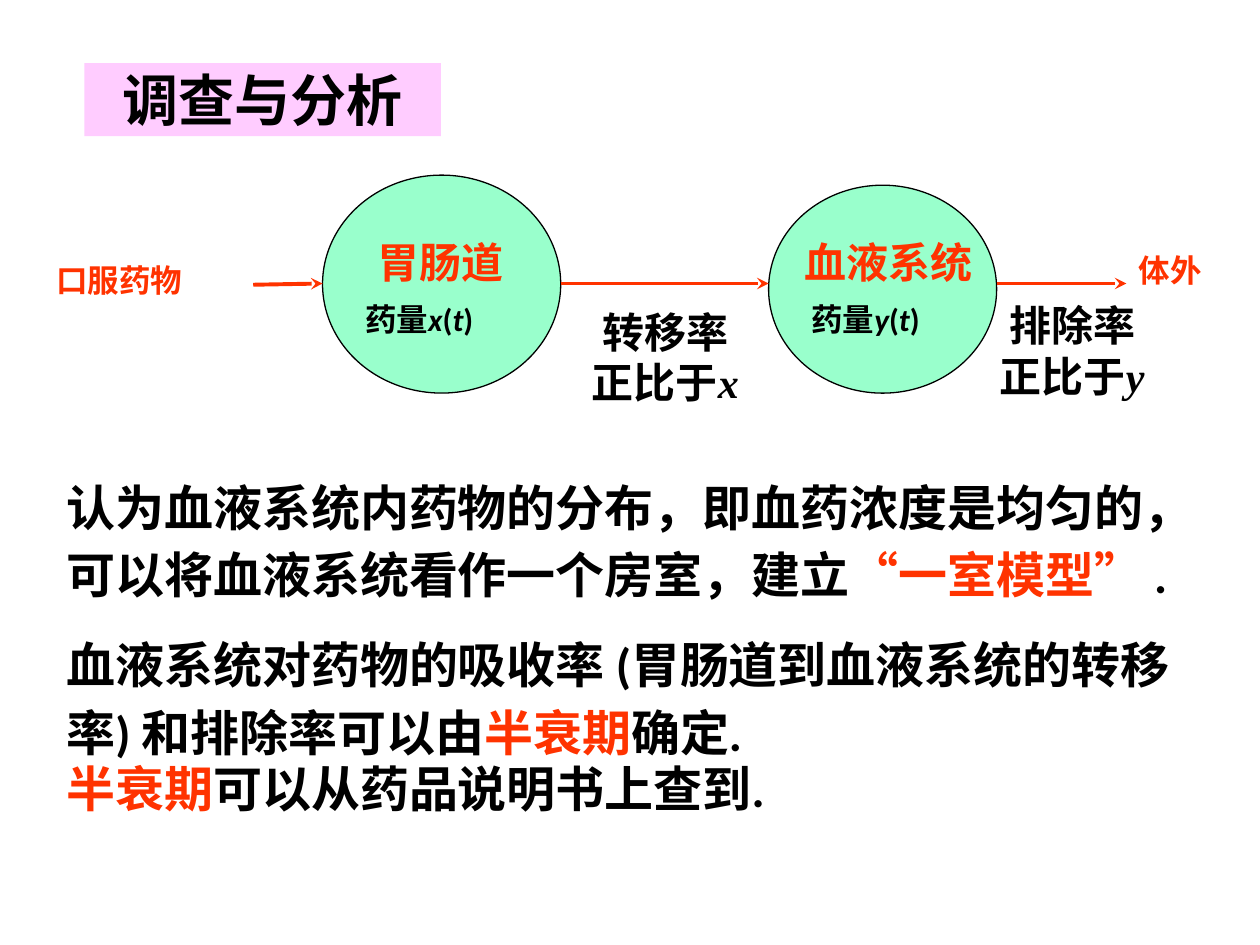
import pptx
import pptx.dml.color
import pptx.enum.shapes
import pptx.enum.text
import pptx.oxml
import pptx.oxml.ns
import pptx.util

Inches = pptx.util.Inches
Pt = pptx.util.Pt
ALIGN = pptx.enum.text.PP_ALIGN
ANCHOR = pptx.enum.text.MSO_ANCHOR
SHAPE = pptx.enum.shapes.MSO_SHAPE
COLORS = {"ink": "000000", "accent": "FF3300", "title": "FFCCFF", "organ": "99FFCC"}
TITLE_ONLY = 5


def rgb(name):
    return pptx.dml.color.RGBColor.from_string(COLORS[name])


def add_run(p, text, size=18, font="Calibri", color="ink", bold=True, italic=False):
    r = p.add_run()
    r.text = text
    r.font.size = Pt(size)
    r.font.name = font
    r.font.color.rgb = rgb(color)
    r.font.bold = bold
    r.font.italic = italic


class SlideBuilder:
    def __init__(self, s):
        self.s = s

    def fill_text(self, tf, runs, align=ALIGN.LEFT, anchor=ANCHOR.TOP, wrap=True,
                  spacing=None, **style):
        """Each run is a (text, overrides) pair on top of the shared style."""
        tf.word_wrap = wrap
        tf.vertical_anchor = anchor
        p = tf.paragraphs[0]
        p.alignment = align
        if spacing:
            p.line_spacing = spacing
        for text, changes in runs:
            add_run(p, text, **{**style, **changes})

    def title(self, text, left, top, width, height):
        sp = self.s.shapes.title
        sp.left, sp.top, sp.width, sp.height = map(Inches, (left, top, width, height))
        sp.fill.solid()
        sp.fill.fore_color.rgb = rgb("title")
        sp.text_frame.auto_size = pptx.enum.text.MSO_AUTO_SIZE.NONE
        self.fill_text(sp.text_frame, [(text, {})], align=ALIGN.CENTER,
                       anchor=ANCHOR.MIDDLE, wrap=False, size=32)

    def text(self, runs, left, top, width, height, **style):
        sp = self.s.shapes.add_textbox(*map(Inches, (left, top, width, height)))
        self.fill_text(sp.text_frame, runs, **style)

    def organ(self, left, top, width, height):
        sp = self.s.shapes.add_shape(SHAPE.OVAL, *map(Inches, (left, top, width, height)))
        sp.shadow.inherit = False
        sp.fill.solid()
        sp.fill.fore_color.rgb = rgb("organ")
        sp.line.color.rgb = rgb("ink")
        sp.line.width = Pt(0.75)

    def arrow(self, x1, y1, x2, y2):
        cxn = self.s.shapes.add_connector(
            pptx.enum.shapes.MSO_CONNECTOR.STRAIGHT, *map(Inches, (x1, y1, x2, y2)))
        cxn.line.color.rgb = rgb("accent")
        cxn.line.width = Pt(2.25)
        qn = pptx.oxml.ns.qn
        props = cxn._element.spPr
        tail = props.find(qn("a:ln")).makeelement(qn("a:tailEnd"), {"type": "stealth"})
        props.find(qn("a:ln")).append(tail)
        props.append(props.makeelement(qn("a:effectLst"), {}))


def main():
    prs = pptx.Presentation()
    prs.slide_width, prs.slide_height = Inches(10), Inches(7.5)
    b = SlideBuilder(prs.slides.add_slide(prs.slide_layouts[TITLE_ONLY]))
    accent, italic = {"color": "accent"}, {"italic": True}

    b.title("调查与分析", 0.67, 0.5, 2.83, 0.58)

    # Compartments and the flow between them
    b.organ(2.56, 1.39, 1.89, 1.73)
    b.organ(6.1, 1.47, 1.81, 1.65)
    for x1, y1, x2 in [(2.01, 2.26, 2.56), (4.45, 2.25, 6.1), (7.91, 2.25, 8.94)]:
        b.arrow(x1, y1, x2, 2.25)

    # Compartment names and drug amounts
    for name, left, width, symbol, amount_left in [
        ("胃肠道", 2.87, 1.25, "x", 2.8),
        ("血液系统", 6.26, 1.58, "y", 6.34),
    ]:
        b.text([(name, accent)], left, 1.83, width, 0.5, align=ALIGN.CENTER,
               size=24, font="Times New Roman")
        b.text([("药量", {}), (symbol, italic), ("(", {}), ("t", italic), (")", {})],
               amount_left, 2.33, 1.35, 0.5, wrap=False)

    # Inflow and outflow
    b.text([("口服药物", accent)], 0.35, 2.02, 1.74, 0.5)
    b.text([("体外", accent)], 8.94, 1.94, 0.87, 0.5)

    # Rates under the arrows
    for rate, symbol, left, top in [
        ("转移率正比于", "x", 4.53, 2.38),
        ("排除率正比于", "y", 7.76, 2.33),
    ]:
        b.text([(rate, {}), (symbol, italic)], left, top, 1.5, 0.9,
               align=ALIGN.CENTER, size=24, font="Times New Roman")

    # Explanation
    b.text([("认为血液系统内药物的分布，即血药浓度是均匀的，"
             "可以将血液系统看作一个房室，建立", {}),
            ("“一室模型” ", accent), (".", {})],
           0.43, 3.67, 9.21, 1.17, anchor=ANCHOR.MIDDLE, spacing=1.15, size=28)
    b.text([("血液系统对药物的吸收率 (胃肠道到血液系统的转移率) 和排除率可以由", {}),
            ("半衰期", accent), ("确定.", {})],
           0.43, 4.92, 9.21, 1.17, spacing=1.15, size=28)
    b.text([("半衰期", accent), ("可以从药品说明书上查到.", {})],
           0.43, 5.97, 6.2, 0.57, anchor=ANCHOR.MIDDLE, size=28)

    prs.save("out.pptx")


if __name__ == "__main__":
    main()
